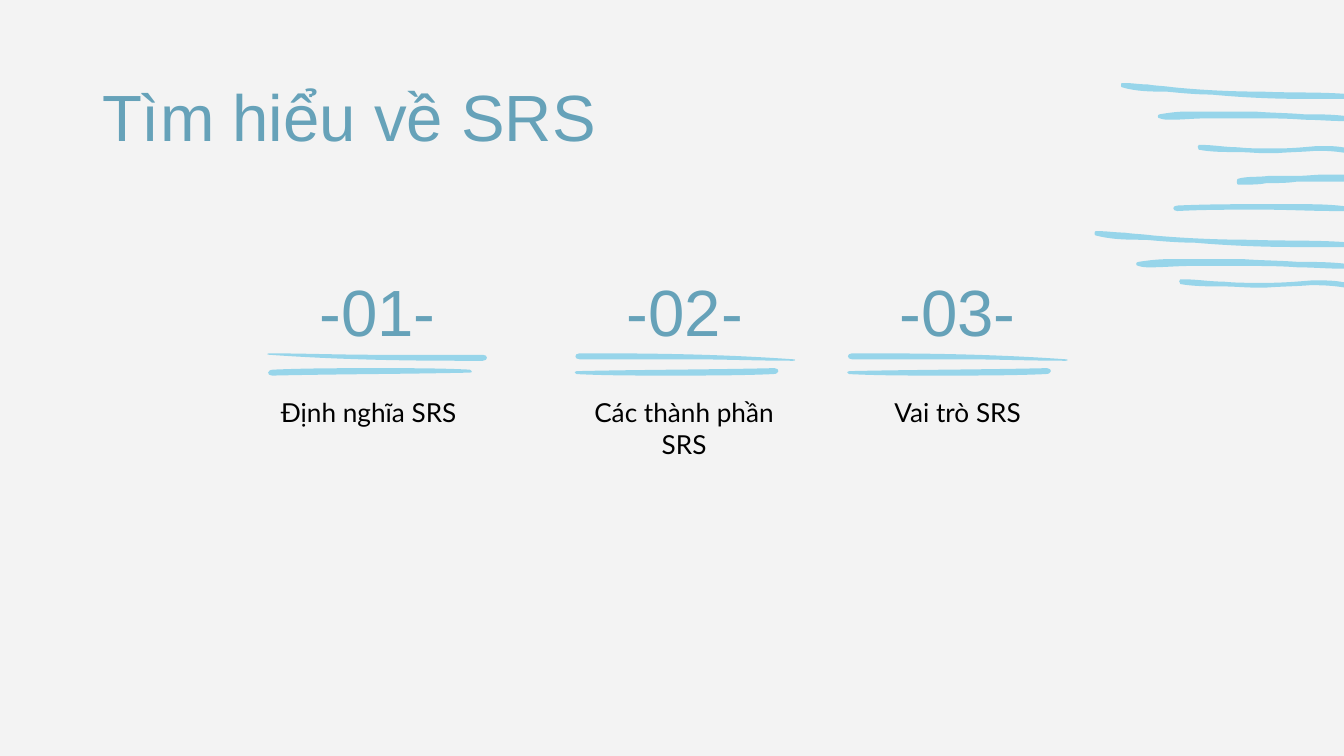
from dataclasses import dataclass

from lxml import etree
from pptx import Presentation
from pptx.dml.color import RGBColor
from pptx.enum.text import MSO_ANCHOR, PP_ALIGN
from pptx.oxml.ns import qn
from pptx.util import Cm, Pt

TOP = MSO_ANCHOR.TOP
LEFT = PP_ALIGN.LEFT
CENTER = PP_ALIGN.CENTER

PAPER = RGBColor(0xF3, 0xF3, 0xF3)
SKY = RGBColor(0x97, 0xD5, 0xEA)
STEEL = RGBColor(0x66, 0xA2, 0xB9)
BLACK = RGBColor(0x00, 0x00, 0x00)

Outline = list[tuple[int, int]]

SWEEP: Outline = [
    (155, 11), (161, 11), (166, 11), (172, 11), (173, 11), (173, 8), (172, 8),
    (150, 6), (128, 7), (105, 6), (83, 6), (61, 5), (39, 3),
    (32, 2), (26, 2), (20, 1), (14, 1), (9, 0), (3, 0),
    (2, 0), (1, 0), (1, 0), (0, 0), (0, 3), (1, 3),
    (12, 6), (23, 6), (34, 6), (45, 7), (56, 8), (67, 8),
    (89, 10), (112, 11), (134, 11), (141, 11), (148, 11), (155, 11),
]
ARCH: Outline = [
    (139, 7), (141, 7), (143, 7), (145, 7), (146, 7), (146, 5), (145, 4),
    (133, 2), (121, 2), (109, 2), (97, 1), (85, 1), (73, 0),
    (66, 0), (59, 0), (52, 0), (47, 0), (42, 0), (37, 0),
    (36, 0), (35, 0), (33, 0), (29, 0), (25, 0), (21, 0),
    (15, 0), (8, 1), (2, 2), (0, 2), (0, 5), (2, 5),
    (5, 6), (7, 6), (10, 6), (19, 6), (28, 5), (37, 5),
    (43, 5), (49, 5), (55, 5), (61, 5), (67, 5), (73, 5),
    (85, 5), (97, 5), (109, 6), (119, 6), (129, 7), (139, 7),
]
WAVE: Outline = [
    (115, 8), (116, 8), (116, 5), (115, 4), (109, 2), (103, 1), (96, 1),
    (93, 1), (91, 1), (88, 1), (78, 2), (69, 3), (59, 3),
    (56, 3), (54, 3), (52, 3), (45, 3), (37, 3), (30, 2),
    (21, 2), (12, 0), (3, 0), (2, 0), (1, 0), (1, 0),
    (0, 0), (0, 3), (1, 4), (10, 6), (20, 6), (29, 6),
    (37, 6), (44, 7), (51, 7), (54, 7), (56, 7), (58, 7),
    (68, 6), (77, 6), (87, 5), (88, 5), (90, 5), (91, 5),
    (99, 5), (107, 6), (115, 8), (115, 8), (115, 8), (115, 8),
]
RISE: Outline = [
    (7, 7), (12, 7), (17, 7), (22, 6), (30, 6), (37, 6), (44, 5),
    (51, 5), (58, 5), (65, 5), (66, 5), (66, 5), (67, 5),
    (69, 5), (72, 5), (74, 5), (78, 5), (82, 5), (86, 4),
    (87, 4), (87, 1), (86, 1), (83, 0), (80, 0), (76, 0),
    (72, 0), (69, 0), (65, 0), (58, 0), (51, 1), (43, 1),
    (37, 1), (30, 1), (23, 1), (16, 2), (8, 1), (1, 3),
    (0, 3), (0, 7), (1, 7), (3, 7), (5, 7), (7, 7),
]
FLAT: Outline = [
    (122, 5), (125, 5), (128, 5), (131, 5), (134, 5), (135, 2), (132, 2),
    (119, 0), (105, 0), (91, 0), (84, 0), (77, 0), (70, 0),
    (48, 0), (26, 0), (4, 1), (0, 1), (0, 5), (4, 5),
    (4, 5), (4, 5), (4, 5), (23, 4), (43, 4), (62, 4),
    (64, 4), (66, 4), (68, 4), (85, 4), (104, 5), (122, 5),
]
UPPER_BAR: Outline = [
    (162, 5), (164, 5), (164, 4), (162, 4), (115, 1), (68, 0), (21, 0),
    (15, 0), (10, 0), (4, 0), (0, 0), (0, 4), (4, 4),
    (30, 4), (57, 4), (83, 4), (110, 4), (136, 5), (162, 5),
]
LOWER_BAR: Outline = [
    (149, 0), (149, 0), (149, 0), (148, 0), (100, 1), (51, 1), (2, 2),
    (0, 2), (0, 3), (2, 4), (24, 5), (47, 5), (70, 5),
    (96, 5), (123, 5), (148, 4), (153, 4), (153, 0), (149, 0),
]


@dataclass(frozen=True)
class Stroke:
    outline: Outline
    left: float
    top: float
    width: float
    height: float
    turned: bool = False


@dataclass(frozen=True)
class Box:
    left: float
    top: float
    width: float
    height: float


@dataclass(frozen=True)
class Style:
    font: str
    size: float
    color: RGBColor
    align: PP_ALIGN


@dataclass(frozen=True)
class Topic:
    number: str
    label: str
    left: float
    label_left: float
    turned: bool = False


HEADING = Style("Arial", 35, STEEL, LEFT)
NUMBER = Style("Arial", 35, STEEL, CENTER)
LABEL = Style("Lato", 14, BLACK, CENTER)

SIDE_STROKES = [
    Stroke(FLAT, 22.15, 3.86, 3.43, 0.13),
    Stroke(RISE, 23.37, 3.3, 2.24, 0.19),
    Stroke(WAVE, 22.63, 2.74, 2.97, 0.18),
    Stroke(ARCH, 21.87, 2.11, 3.71, 0.18),
    Stroke(SWEEP, 21.18, 1.57, 4.42, 0.3),
    Stroke(WAVE, 22.28, 5.28, 3.3, 0.18),
    Stroke(ARCH, 21.46, 4.9, 4.11, 0.18),
    Stroke(SWEEP, 20.68, 4.37, 4.9, 0.3),
]

TOPICS = [
    Topic("-01-", "Định nghĩa SRS", 5.04, 4.72, True),
    Topic("-02-", "Các thành phần SRS", 10.85, 10.68),
    Topic("-03-", "Vai trò SRS", 16, 15.85),
]


def bend(brush) -> None:
    contour = brush._element.find(".//" + qn("a:path"))
    sides = contour.findall(qn("a:lnTo"))
    for i in range(0, len(sides), 3):
        curve = etree.Element(qn("a:cubicBezTo"))
        sides[i].addprevious(curve)
        for side in sides[i:i + 3]:
            curve.append(side[0])
            contour.remove(side)


def draw_stroke(group, stroke: Stroke) -> None:
    xs, ys = zip(*stroke.outline)

    def place(value: int, values: tuple, start: float, extent: float) -> int:
        share = (value - min(values)) / (max(values) - min(values))
        return Cm(start + extent * (1 - share if stroke.turned else share))

    corners = [
        (place(x, xs, stroke.left, stroke.width), place(y, ys, stroke.top, stroke.height))
        for x, y in stroke.outline
    ]
    builder = group.shapes.build_freeform(*corners[0])
    builder.add_line_segments(corners[1:], close=True)
    brush = builder.convert_to_shape()
    bend(brush)
    brush.shadow.inherit = False
    brush.fill.solid()
    brush.fill.fore_color.rgb = SKY
    brush.line.fill.background()


def draw_strokes(slide, strokes: list[Stroke]) -> None:
    group = slide.shapes.add_group_shape()
    for stroke in strokes:
        draw_stroke(group, stroke)


def write(holder, text: str, style: Style) -> None:
    frame = holder.text_frame
    frame.word_wrap = True
    frame.vertical_anchor = TOP
    frame.margin_left = frame.margin_right = Cm(0.25)
    frame.margin_top = frame.margin_bottom = Cm(0.25)
    paragraph = frame.paragraphs[0]
    paragraph.alignment = style.align
    run = paragraph.add_run()
    run.text = text
    run.font.name = style.font
    run.font.size = Pt(style.size)
    run.font.color.rgb = style.color


def add_text(slide, box: Box, text: str, style: Style) -> None:
    holder = slide.shapes.add_textbox(Cm(box.left), Cm(box.top), Cm(box.width), Cm(box.height))
    write(holder, text, style)


def draw_topic(slide, topic: Topic) -> None:
    add_text(slide, Box(topic.left, 4.88, 4.19, 1.52), topic.number, NUMBER)
    add_text(slide, Box(topic.label_left, 7.25, 4.5, 2.31), topic.label, LABEL)
    draw_strokes(slide, [
        Stroke(LOWER_BAR, topic.left, 6.96, 3.89, 0.14, topic.turned),
        Stroke(UPPER_BAR, topic.left, 6.68, 4.19, 0.14, topic.turned),
    ])


def main() -> None:
    deck = Presentation()
    deck.slide_width, deck.slide_height = Cm(25.4), Cm(14.29)
    slide = deck.slides.add_slide(deck.slide_layouts[5])
    slide.background.fill.solid()
    slide.background.fill.fore_color.rgb = PAPER
    draw_strokes(slide, SIDE_STROKES)
    title = slide.shapes.title
    title.left, title.top, title.width, title.height = Cm(1.68), Cm(1.19), Cm(21.67), Cm(2.03)
    write(title, "Tìm hiểu về SRS", HEADING)
    for topic in TOPICS:
        draw_topic(slide, topic)
    deck.save("out.pptx")


if __name__ == "__main__":
    main()
